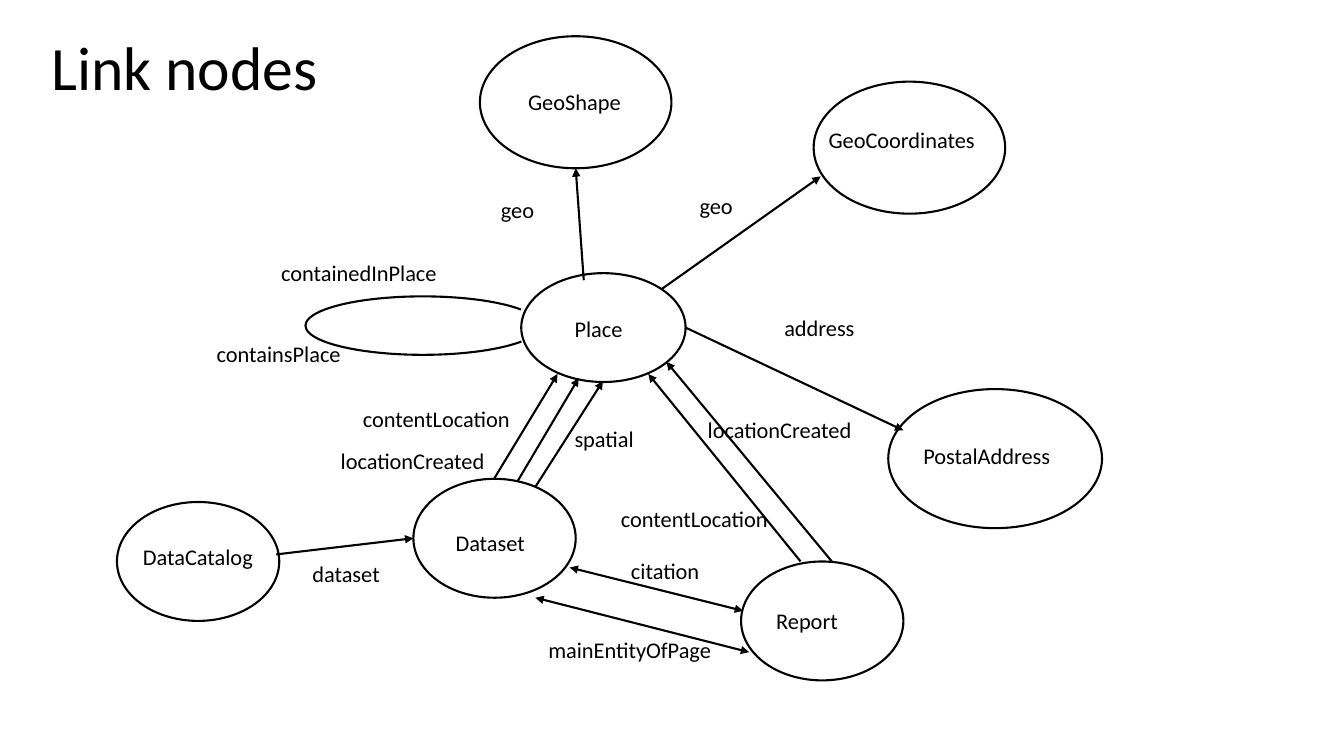
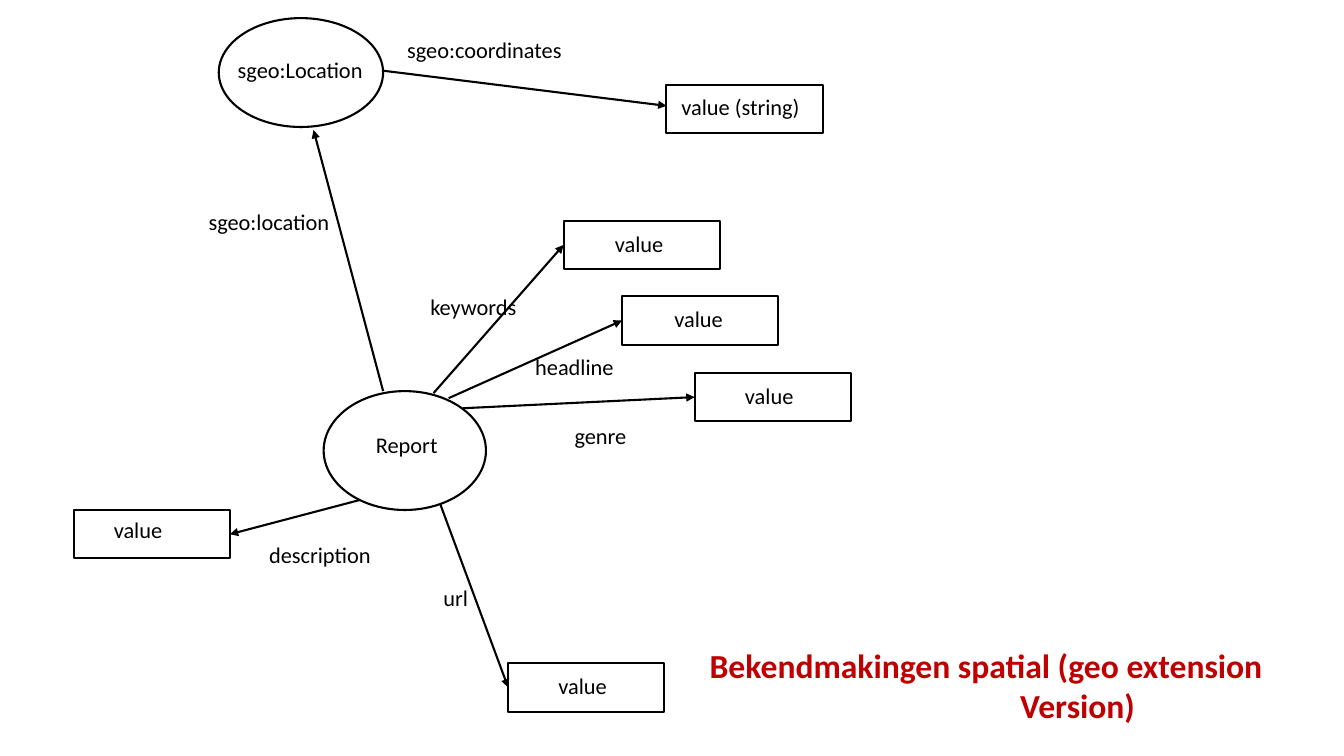
from dataclasses import dataclass

from lxml.etree import SubElement
from pptx import Presentation
from pptx.dml.color import RGBColor
from pptx.enum.shapes import MSO_CONNECTOR, MSO_SHAPE
from pptx.enum.text import MSO_AUTO_SIZE
from pptx.oxml.ns import qn
from pptx.shapes.autoshape import Shape
from pptx.slide import Slide
from pptx.util import Inches, Pt

COLORS = {"ink": "000000", "accent": "C00000"}
FONT = "Calibri"
LINE_WIDTH = Pt(1.5)
LABEL_HEIGHT = 0.37
CIRCLE = (1.61, 1.18)
PLACE = (1.63, 1.08)
GEO = (1.9, 1.31)
POSTAL = (2.12, 1.38)
VALUE = (1.55, 0.48)

Point = tuple[float, float]


@dataclass(frozen=True)
class Label:
    text: str
    at: Point
    width: float
    wrap: bool = False


@dataclass(frozen=True)
class Node:
    at: Point
    size: Point
    label: Label
    outline: MSO_SHAPE = MSO_SHAPE.OVAL


@dataclass(frozen=True)
class Edge:
    start: Point
    end: Point
    label: Label
    two_way: bool = False


def value_node(at: Point, label_at: Point) -> Node:
    return Node(at, VALUE, Label("value", label_at, 0.69), MSO_SHAPE.RECTANGLE)


LINK_NODES = [
    Node((5.17, 2.71), PLACE, Label("Place", (5.6, 3.08), 0.68)),
    Node((7.35, 5.57), CIRCLE, Label("Report", (7.6, 5.97), 0.82)),
    Node((4.1, 4.75), CIRCLE, Label("Dataset", (4.42, 5.2), 0.9)),
    Node((1.16, 4.98), CIRCLE, Label("DataCatalog", (1.32, 5.34), 1.3)),
    Node((8.07, 0.81), GEO, Label("GeoCoordinates", (8.12, 1.2), 1.67)),
    Node((4.76, 0.36), GEO, Label("GeoShape", (5.14, 0.83), 1.13)),
    Node((8.81, 3.86), POSTAL, Label("PostalAddress", (9.06, 4.34), 1.48)),
]
LINK_EDGES = [
    Edge((6.56, 2.87), (8.14, 1.75), Label("geo", (6.84, 1.86), 0.54)),
    Edge((5.79, 2.78), (5.71, 1.67), Label("geo", (4.87, 1.9), 0.54)),
    Edge((6.8, 3.25), (8.96, 4.27), Label("address", (7.68, 3.07), 0.91)),
    Edge((4.9, 4.75), (5.53, 3.71), Label("contentLocation", (3.5, 3.97), 1.68)),
    Edge((5.13, 4.78), (5.74, 3.75), Label("locationCreated", (3.28, 4.39), 1.65)),
    Edge((5.31, 4.83), (5.98, 3.78), Label("spatial", (5.6, 4.17), 0.8)),
    Edge((7.94, 5.57), (6.43, 3.71), Label("contentLocation", (6.06, 4.96), 1.68)),
    Edge((8.25, 5.57), (6.61, 3.59), Label("locationCreated", (6.92, 4.08), 1.65)),
    Edge((2.74, 5.5), (4.1, 5.34), Label("dataset", (3, 5.51), 0.88)),
    Edge((5.65, 5.63), (7.37, 6.06), Label("citation", (6.16, 5.48), 0.89), True),
    Edge((5.31, 5.93), (7.43, 6.47), Label("mainEntityOfPage", (5.34, 6.26), 1.84), True),
]
LOOP_LABELS = [
    Label("containedInPlace", (2.69, 2.52), 1.76),
    Label("containsPlace", (2.05, 3.33), 1.45),
]

SPATIAL_NODES = [
    Node((2.17, 0.18), PLACE, Label("sgeo:Location", (2.26, 0.51), 1.46)),
    Node((3.21, 3.88), CIRCLE, Label("Report", (3.63, 4.23), 0.82)),
    Node((6.61, 0.84), VALUE, Label("value (string)", (6.66, 0.87), 2.04, True),
         MSO_SHAPE.RECTANGLE),
    value_node((5.59, 2.19), (6, 2.23)),
    value_node((6.17, 2.94), (6.59, 2.98)),
    value_node((6.89, 3.7), (7.29, 3.74)),
    value_node((0.73, 5.06), (1.03, 5.07)),
    value_node((5.04, 6.58), (5.44, 6.62)),
]
SPATIAL_EDGES = [
    Edge((3.79, 0.7), (6.61, 1.05), Label("sgeo:coordinates", (3.94, 0.31), 1.75)),
    Edge((3.8, 3.88), (3.11, 1.29), Label("sgeo:location", (1.97, 2.02), 1.41)),
    Edge((4.3, 3.9), (5.59, 2.43), Label("keywords", (4.17, 2.86), 1.07)),
    Edge((4.45, 3.95), (6.17, 3.18), Label("headline", (5.21, 3.45), 0.99)),
    Edge((4.59, 4.05), (6.89, 3.94), Label("genre", (5.6, 4.14), 0.72)),
    Edge((3.57, 4.96), (2.28, 5.3), Label("description", (2.57, 5.32), 1.22)),
    Edge((4.37, 5.01), (5.04, 6.82), Label("url", (4.3, 5.75), 0.45)),
]


def color(key: str) -> RGBColor:
    return RGBColor.from_string(COLORS[key])


def add_text(slide: Slide, text: str, at: Point, width: float, *,
             height: float = LABEL_HEIGHT, size: float = 16, ink: str = "ink",
             bold: bool = False, wrap: bool = False, grow: bool = True,
             spacing: float = 1.0, last_indent: float = 0) -> None:
    box = slide.shapes.add_textbox(*map(Inches, (*at, width, height)))
    frame = box.text_frame
    frame.word_wrap = wrap
    frame.auto_size = MSO_AUTO_SIZE.SHAPE_TO_FIT_TEXT if grow else MSO_AUTO_SIZE.NONE
    frame.text = text
    for paragraph in frame.paragraphs:
        paragraph.line_spacing = spacing
        for run in paragraph.runs:
            run.font.name = FONT
            run.font.size = Pt(size)
            run.font.bold = bold
            run.font.color.rgb = color(ink)
    if last_indent:
        frame.paragraphs[-1]._p.get_or_add_pPr().set("marL", str(Inches(last_indent)))


def add_label(slide: Slide, label: Label) -> None:
    add_text(slide, label.text, label.at, label.width, wrap=label.wrap)


def add_outline(slide: Slide, outline: MSO_SHAPE, at: Point, size: Point) -> Shape:
    shape = slide.shapes.add_shape(outline, *map(Inches, (*at, *size)))
    shape.shadow.inherit = False
    shape.fill.background()
    shape.line.color.rgb = color("ink")
    shape.line.width = LINE_WIDTH
    return shape


def add_edge(slide: Slide, edge: Edge) -> None:
    arrow = slide.shapes.add_connector(
        MSO_CONNECTOR.STRAIGHT, *map(Inches, (*edge.start, *edge.end)))
    arrow.line.color.rgb = color("ink")
    arrow.line.width = LINE_WIDTH
    line = arrow.line._get_or_add_ln()
    for end in ("a:headEnd", "a:tailEnd") if edge.two_way else ("a:tailEnd",):
        SubElement(line, qn(end), type="triangle")
    SubElement(arrow._element.spPr, qn("a:effectLst"))
    add_label(slide, edge.label)


def add_graph(slide: Slide, nodes: list[Node], edges: list[Edge]) -> None:
    for node in nodes:
        add_outline(slide, node.outline, node.at, node.size)
        add_label(slide, node.label)
    for edge in edges:
        add_edge(slide, edge)


def add_place_loop(slide: Slide) -> None:
    loop = add_outline(slide, MSO_SHAPE.ARC, (3.03, 2.94), (2.33, 0.58))
    for index, degrees in enumerate((9.2, 350.7)):
        loop.adjustments[index] = degrees * 0.6
    for label in LOOP_LABELS:
        add_label(slide, label)


def main() -> None:
    deck = Presentation()
    deck.slide_width, deck.slide_height = Inches(13.33), Inches(7.5)
    blank = deck.slide_layouts[6]

    link_slide = deck.slides.add_slide(blank)
    add_graph(link_slide, LINK_NODES, LINK_EDGES)
    add_place_loop(link_slide)
    add_text(link_slide, "Link nodes", (0.41, 0.32), 11.5, height=1.45,
             size=44, wrap=True, grow=False, spacing=0.9)

    spatial_slide = deck.slides.add_slide(blank)
    add_graph(spatial_slide, SPATIAL_NODES, SPATIAL_EDGES)
    add_text(spatial_slide, "Bekendmakingen spatial (geo extension\nVersion)",
             (6.94, 6.35), 5.8, height=0.91, size=24, ink="accent",
             bold=True, wrap=True, last_indent=3.08)

    deck.save("out.pptx")


if __name__ == "__main__":
    main()
